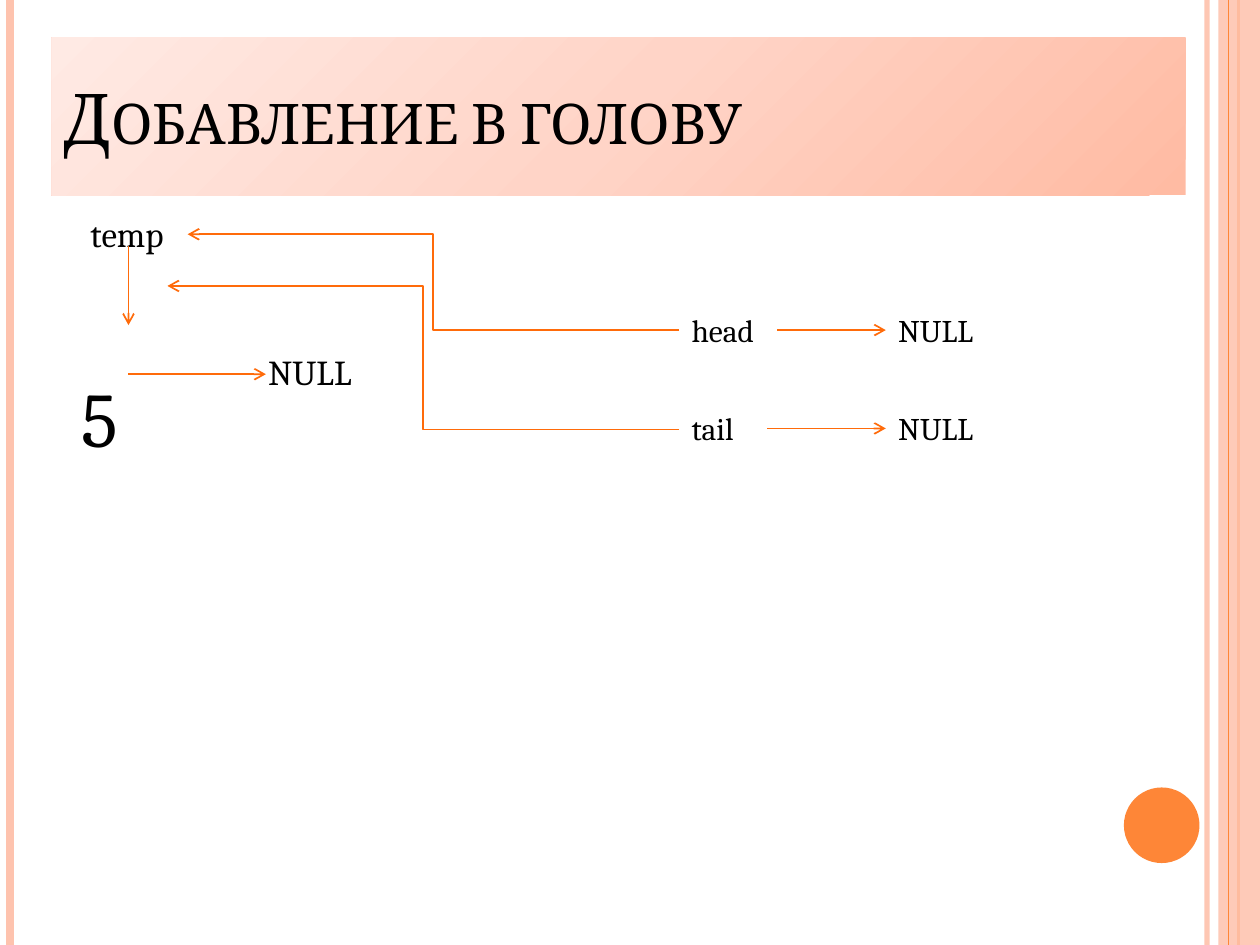
import copy

import pptx
import pptx.dml.color
import pptx.enum.dml
import pptx.enum.shapes
import pptx.enum.text
import pptx.oxml
import pptx.oxml.ns
import pptx.util
from pptx.util import Inches

FONT = "Cambria"
BLACK, PEACH, ORANGE, ARROW = "000000", "FEC3AE", "FE8637", "FF6B0A"
STRAIGHT = pptx.enum.shapes.MSO_CONNECTOR.STRAIGHT
ELBOW = pptx.enum.shapes.MSO_CONNECTOR.ELBOW
LEFT, RIGHT = 1, 3

TITLE = "Добавление в голову"
TITLE_STOPS = [(0, "FFBBA3"), (0.5, "FFD4C7"), (1, "FFEAE4")]
# x, colour, width in points, opacity in percent
STRIPES = [(9.58, PEACH, 3, 93), (0.08, PEACH, 4.5, 100), (9.83, ORANGE, 1.5, 100)]
TOP_STRIPE = (9.75, ORANGE, 0.75, 100)
# name: text, left, top, width, height, size, wrap
LABELS = {
    "temp": ("temp", 0.62, 1.64, 0.86, 0.44, 20, False),
    "value": ("5", 0.55, 2.89, 0.39, 0.84, 44, True),
    "temp null": ("NULL", 2.03, 2.73, 1.33, 0.44, 20, True),
    "head": ("head", 5.39, 2.42, 0.78, 0.4, 18, True),
    "head null": ("NULL", 7.03, 2.42, 1.17, 0.4, 18, True),
    "tail": ("tail", 5.39, 3.2, 0.7, 0.4, 18, True),
    "tail null": ("NULL", 7.03, 3.2, 1.09, 0.4, 18, True),
}
# kind, start, end
FREE_ARROWS = [
    (STRAIGHT, (1.02, 1.95), (1.02, 2.58)),
    (STRAIGHT, (1.02, 2.97), (2.11, 2.97)),
    (ELBOW, (5.39, 3.41), (1.33, 2.27)),
    (ELBOW, (5.39, 2.62), (1.49, 1.86)),
]
JOINED_ARROWS = [("head", "head null"), ("tail", "tail null")]


def rgb(value):
    return pptx.dml.color.RGBColor.from_string(value)


def set_opacity(element, percent):
    """Give the colour inside a fill or line element an opacity."""
    if percent < 100:
        color = element.find(".//" + pptx.oxml.ns.qn("a:srgbClr"))
        alpha = pptx.oxml.parse_xml("<a:alpha %s/>" % pptx.oxml.ns.nsdecls("a"))
        alpha.set("val", str(percent * 1000))
        color.append(alpha)


def add_line(slide, kind, start, end, color, width):
    s = slide.shapes.add_connector(kind, *(Inches(v) for v in start + end))
    s.line.color.rgb = rgb(color)
    s.line.width = pptx.util.Pt(width)
    s._element.spPr.append(
        pptx.oxml.parse_xml("<a:effectLst %s/>" % pptx.oxml.ns.nsdecls("a")))
    return s


def add_stripe(slide, x, color, width, opacity):
    s = add_line(slide, STRAIGHT, (x, 0), (x, 7.5), color, width)
    set_opacity(s.line._get_or_add_ln(), opacity)


def add_arrow(slide, kind, start, end):
    s = add_line(slide, kind, start, end, ARROW, 1)
    s.line._get_or_add_ln().append(pptx.oxml.parse_xml(
        '<a:tailEnd %s type="arrow"/>' % pptx.oxml.ns.nsdecls("a")))
    return s


def add_plain_shape(slide, kind, box):
    sp = slide.shapes.add_shape(kind, *(Inches(v) for v in box))
    sp.shadow.inherit = False
    sp.line.fill.background()
    return sp


def add_run(p, text, size):
    p.alignment = pptx.enum.text.PP_ALIGN.LEFT
    r = p.add_run()
    r.text = text
    r.font.name = FONT
    r.font.size = pptx.util.Pt(size)
    r.font.color.rgb = rgb(BLACK)
    return r


def add_title(slide):
    sp = add_plain_shape(slide, pptx.enum.shapes.MSO_SHAPE.RECTANGLE,
                         (0.41, 0.3, 9, 1.25))
    sp.fill.gradient()
    sp.fill.gradient_angle = 135
    gs = sp._element.spPr.find(".//" + pptx.oxml.ns.qn("a:gs"))
    gs.addnext(copy.deepcopy(gs))
    for stop, (position, color) in zip(sp.fill.gradient_stops, TITLE_STOPS):
        stop.position = position
        stop.color.rgb = rgb(color)
    tf = sp.text_frame
    tf.word_wrap = True
    tf.vertical_anchor = pptx.enum.text.MSO_ANCHOR.MIDDLE
    r = add_run(tf.paragraphs[0], TITLE, 40)
    r.font._element.set("cap", "small")


def add_label(slide, text, left, top, width, height, size, wrap):
    s = slide.shapes.add_textbox(*(Inches(v) for v in (left, top, width, height)))
    tf = s.text_frame
    tf.word_wrap = wrap
    tf.auto_size = pptx.enum.text.MSO_AUTO_SIZE.SHAPE_TO_FIT_TEXT
    add_run(tf.paragraphs[0], text, size)
    return s


def add_decoration(slide):
    shapes = pptx.enum.shapes.MSO_SHAPE
    for stripe in STRIPES:
        add_stripe(slide, *stripe)
    band = add_plain_shape(slide, shapes.RECTANGLE, (9.67, 0, 0.33, 7.5))
    band.fill.solid()
    band.fill.fore_color.rgb = rgb(PEACH)
    set_opacity(band._element.spPr, 87)
    add_stripe(slide, *TOP_STRIPE)
    disc = add_plain_shape(slide, shapes.OVAL, (8.92, 6.25, 0.6, 0.6))
    disc.fill.solid()
    disc.fill.fore_color.rgb = rgb(ORANGE)


def main():
    prs = pptx.Presentation()
    prs.slide_width, prs.slide_height = Inches(10), Inches(7.5)
    slide = prs.slides.add_slide(prs.slide_layouts[6])
    add_decoration(slide)
    add_title(slide)
    labels = {name: add_label(slide, *label) for name, label in LABELS.items()}
    for source, target in JOINED_ARROWS:
        s = add_arrow(slide, STRAIGHT, (0, 0), (1, 1))
        s.begin_connect(labels[source], RIGHT)
        s.end_connect(labels[target], LEFT)
    for arrow in FREE_ARROWS:
        add_arrow(slide, *arrow)
    prs.save("out.pptx")


if __name__ == "__main__":
    main()
